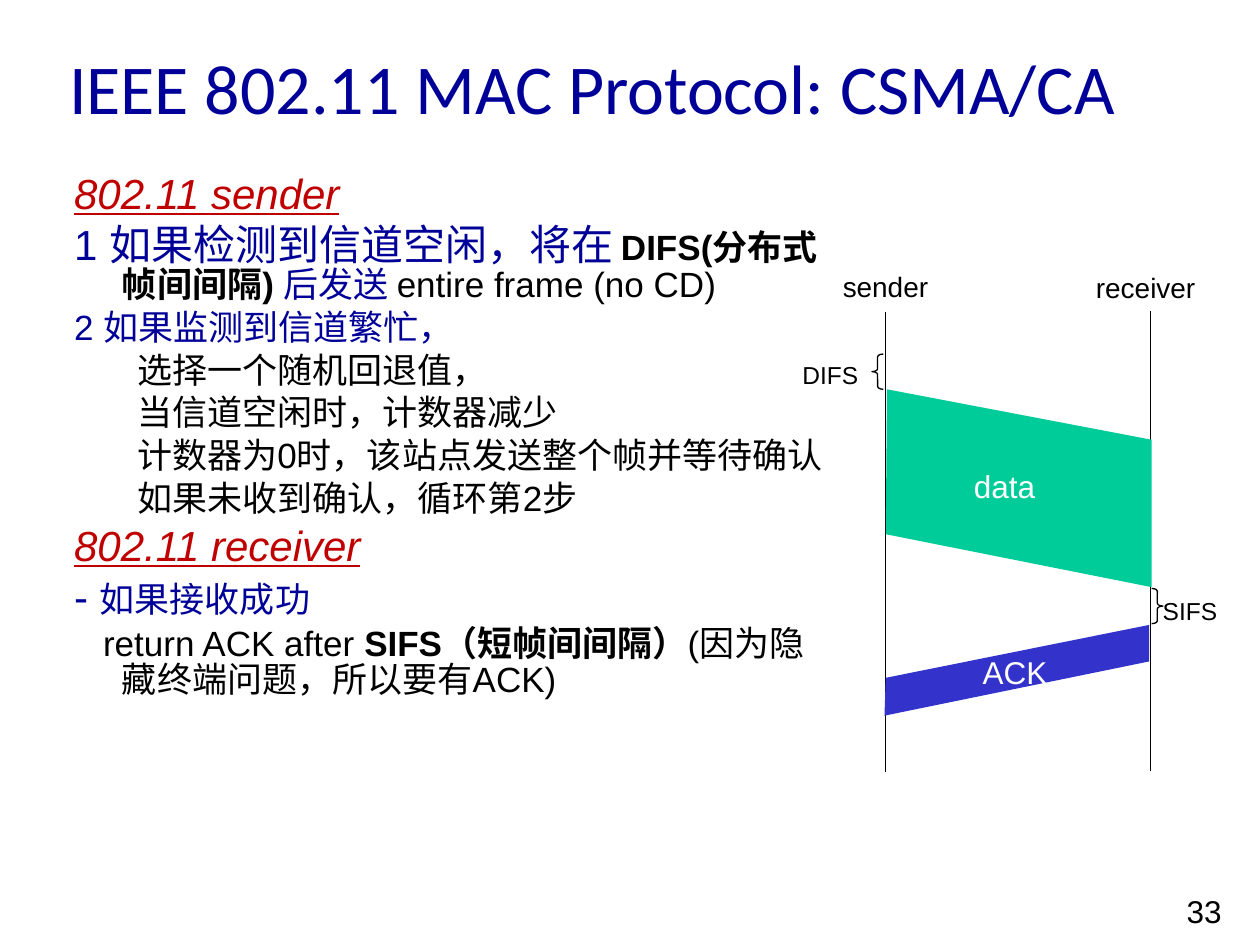
import pptx
import pptx.util
import pptx.dml.color
import pptx.enum.shapes
import pptx.enum.text
import pptx.oxml
import pptx.oxml.ns

Inches, Pt = pptx.util.Inches, pptx.util.Pt
RGBColor = pptx.dml.color.RGBColor
SHAPE = pptx.enum.shapes.MSO_SHAPE
ANCHOR = pptx.enum.text.MSO_ANCHOR

NAVY = RGBColor(0x00, 0x00, 0x99)
RED = RGBColor(0xC0, 0x00, 0x00)
BLACK = RGBColor(0x00, 0x00, 0x00)
WHITE = RGBColor(0xFF, 0xFF, 0xFF)
GREEN = RGBColor(0x00, 0xCC, 0x99)
BLUE = RGBColor(0x33, 0x33, 0xCC)

# Content
TITLE = "IEEE 802.11 MAC Protocol: CSMA/CA"
TOP, SUB, RETURN = (0.38, -0.38), (0.81, -0.31), (0.38, -0.15)  # margin, indent
# Each paragraph: indents, then runs of text, size, colour, style
BODY = [
    (TOP, [("802.11 sender", 24, RED, "iu")]),
    (TOP, [("1 如果检测到信道空闲，将在", 24, NAVY, ""),
           (" ", 20, BLACK, ""),
           ("DIFS(分布式帧间间隔) ", 20, BLACK, "b"),
           ("后发送", 20, NAVY, ""),
           (" entire frame (no CD)", 20, BLACK, "")]),
    (TOP, [("2 如果监测到信道繁忙，", 20, NAVY, "")]),
    (SUB, [("选择一个随机回退值，", 20, BLACK, "")]),
    (SUB, [("当信道空闲时，计数器减少", 20, BLACK, "")]),
    (SUB, [("计数器为0时，该站点发送整个帧并等待确认", 20, BLACK, "")]),
    (SUB, [("如果未收到确认，循环第2步", 20, BLACK, "")]),
    (TOP, [("802.11 receiver", 24, RED, "iu")]),
    (TOP, [("- ", 24, NAVY, ""), ("如果接收成功", 20, NAVY, "")]),
    (RETURN, [("return ACK after ", 20, BLACK, ""),
              ("SIFS（短帧间间隔）", 20, BLACK, "b"),
              ("(因为隐藏终端问题，所以要有ACK)", 20, BLACK, "")]),
]
SEND, RECV = 7.03, 9.13  # x of the two time lines
LINES = [(SEND, 2.48), (RECV, 2.47)]
LENGTH = 3.65
FRAMES = [
    (GREEN, [(7.04, 3.09), (9.14, 3.49), (9.14, 4.66), (SEND, 4.24)]),
    (BLUE, [(7.02, 5.68), (9.12, 5.25), (9.12, 4.96), (SEND, 5.38)]),
]
BRACES = [(SHAPE.LEFT_BRACE, 6.92, 2.81), (SHAPE.RIGHT_BRACE, 9.14, 4.67)]
LABELS = [
    ("sender", (6.59, 2.09, 0.91, 0.37), 16, BLACK),
    ("receiver", (8.6, 2.1, 1, 0.37), 16, BLACK),
    ("DIFS", (6.27, 2.81, 0.65, 0.34), 14, BLACK),
    ("SIFS", (RECV, 4.68, 0.64, 0.34), 14, BLACK),
    ("data", (7.63, 3.66, 0.69, 0.4), 18, WHITE),
    ("ACK", (7.7, 5.13, 0.72, 0.4), 18, WHITE),
    ("33", (9.32, 7.03, 0.64, 0.4), 18, BLACK),
]


def add_run(para, text, size, color, style="", face="Arial"):
    run = para.add_run()
    run.text = text
    font = run.font
    font.name, font.size, font.color.rgb = face, Pt(size), color
    font.bold, font.italic, font.underline = (key in style for key in "biu")


def add_box(slide, rect, wrap):
    frame = slide.shapes.add_textbox(*map(Inches, rect)).text_frame
    frame.word_wrap = wrap
    return frame


def add_body(slide):
    frame = add_box(slide, (0.49, 1.34, 6.16, 5.42), True)
    for i, ((margin, indent), runs) in enumerate(BODY):
        para = frame.add_paragraph() if i else frame.paragraphs[0]
        props = para._p.get_or_add_pPr()
        props.set("marL", str(Inches(margin)))
        props.set("indent", str(Inches(indent)))
        para.line_spacing = 0.85
        if i:
            para.space_before = Pt(0.2 * max(run[1] for run in runs))
        for run in runs:
            add_run(para, *run)


def add_chart(slide):
    shapes = slide.shapes
    # Time lines
    for x, y in LINES:
        line = shapes.add_connector(
            pptx.enum.shapes.MSO_CONNECTOR.STRAIGHT,
            Inches(x), Inches(y), Inches(x), Inches(y + LENGTH))
        line.line.color.rgb, line.line.width = BLACK, Pt(0.75)
        props = line._element.spPr
        props.append(pptx.oxml.parse_xml(
            "<a:effectLst %s/>" % pptx.oxml.ns.nsdecls("a")))
    # Frames in flight
    for color, points in FRAMES:
        start, *rest = [(Inches(x), Inches(y)) for x, y in points]
        pen = shapes.build_freeform(*start)
        pen.add_line_segments(rest, close=True)
        band = pen.convert_to_shape()
        band.shadow.inherit = False
        band.fill.solid()
        band.fill.fore_color.rgb = color
        band.line.fill.background()
    # Waiting gaps
    for kind, x, y in BRACES:
        brace = shapes.add_shape(
            kind, Inches(x), Inches(y), Inches(0.09), Inches(0.28))
        brace.shadow.inherit = False
        brace.adjustments[0] = 0.25
        brace.fill.background()
        brace.line.color.rgb, brace.line.width = BLACK, Pt(0.75)


def main():
    deck = pptx.Presentation()
    deck.slide_width, deck.slide_height = Inches(10), Inches(7.5)
    slide = deck.slides.add_slide(deck.slide_layouts[6])
    # Title
    head = add_box(slide, (0.45, 0.17, 8.99, 1.04), True)
    head.vertical_anchor = ANCHOR.MIDDLE
    add_run(head.paragraphs[0], TITLE, 40, NAVY, face="Calibri")
    add_body(slide)
    add_chart(slide)
    # Labels and page number
    for text, rect, size, color in LABELS:
        add_run(add_box(slide, rect, False).paragraphs[0], text, size, color)
    deck.save("out.pptx")


if __name__ == "__main__":
    main()
